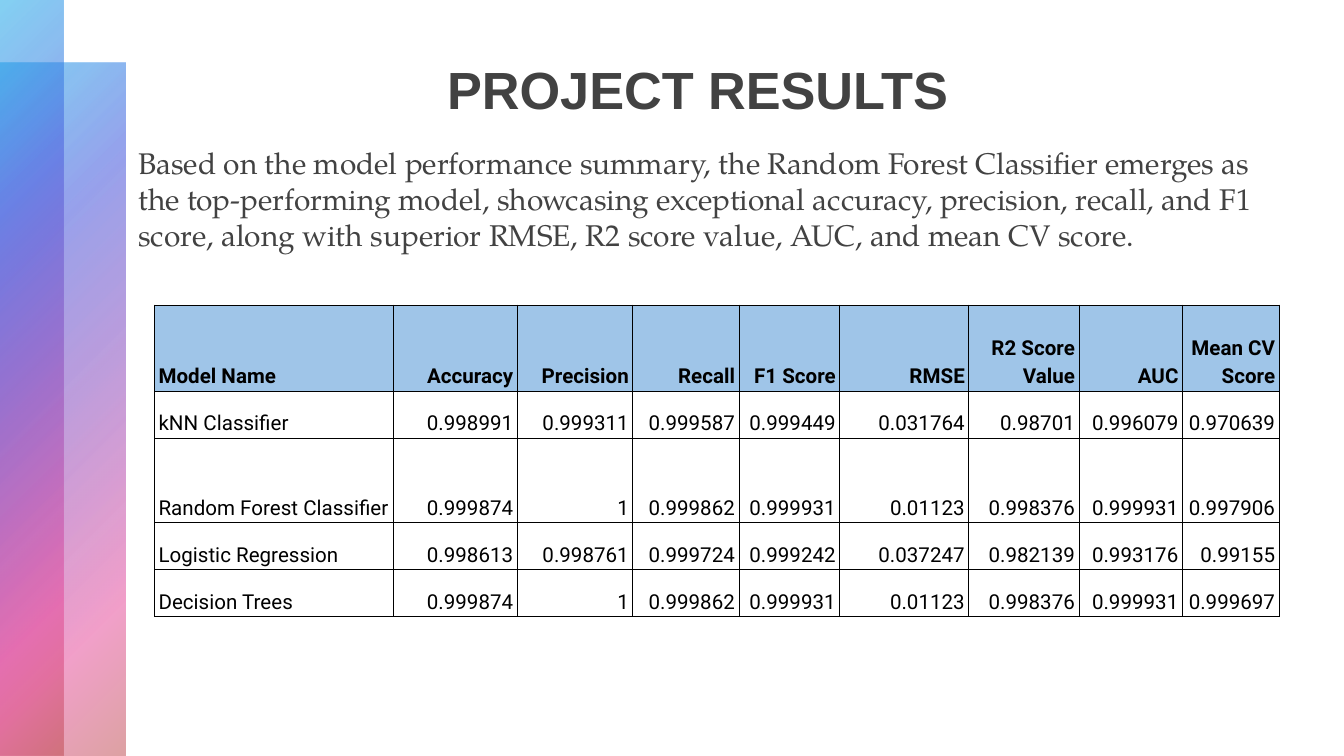
from pptx import Presentation
from pptx import util as u
from pptx.dml.color import RGBColor
from pptx.enum import shapes, text
from pptx.oxml import parse_xml
from pptx.oxml.ns import nsdecls, qn

# Content
TITLE = "PROJECT RESULTS"
SUMMARY = (
    "Based on the model performance summary, the Random Forest Classifier emerges as "
    "the top-performing model, showcasing exceptional accuracy, precision, recall, and "
    "F1 score, along with superior RMSE, R2 score value, AUC, and mean CV score."
)
RESULTS = [
    ("Model Name", "Accuracy", "Precision", "Recall", "F1 Score", "RMSE",
     "R2 Score Value", "AUC", "Mean CV Score"),
    ("kNN Classifier", "0.998991", "0.999311", "0.999587", "0.999449", "0.031764",
     "0.98701", "0.996079", "0.970639"),
    ("Random Forest Classifier", "0.999874", "1", "0.999862", "0.999931", "0.01123",
     "0.998376", "0.999931", "0.997906"),
    ("Logistic Regression", "0.998613", "0.998761", "0.999724", "0.999242", "0.037247",
     "0.982139", "0.993176", "0.99155"),
    ("Decision Trees", "0.999874", "1", "0.999862", "0.999931", "0.01123",
     "0.998376", "0.999931", "0.999697"),
]

# Layout in inches (16:9 slide) and format values
WIDTH = 10
HEIGHT = WIDTH * 9 / 16
BAND = HEIGHT / 12
COLUMNS = [1.78, 0.92, 0.86, 0.79, 0.75, 0.96, 0.82, 0.77, 0.72]
ROWS = [0.64, 0.35, 0.63, 0.35, 0.35]
COLORS = {"text": "424242", "header": "9FC5E8", "cell": "FFFFFF", "ink": "000000"}
GRADIENT = [(0, "0BA5E8", 50), (25, "5066E1", 60), (50, "894EC0", 55),
            (81, "E54196", 50), (99, "BE4449", 50), (100, "BE4449", 50)]
FONTS = {
    "title": {"name": "Arial", "size": u.Pt(28), "bold": True},
    "summary": {"name": "TeX Gyre Pagella", "size": u.Pt(16)},
    "header": {"name": "Roboto", "size": u.Pt(11), "bold": True},
    "cell": {"name": "Roboto", "size": u.Pt(11), "bold": False},
}


def set_values(target, values):
    for name, value in values.items():
        setattr(target, name, value)


def margins(horizontal, vertical):
    return {"margin_left": u.Inches(horizontal), "margin_right": u.Inches(horizontal),
            "margin_top": u.Inches(vertical), "margin_bottom": u.Inches(vertical)}


def style_font(paragraph, style, color):
    set_values(paragraph.font, FONTS[style])
    paragraph.font.color.rgb = RGBColor.from_string(COLORS[color])


def add_band(slide, left, top, width, height):
    band = slide.shapes.add_shape(shapes.MSO_SHAPE.RECTANGLE,
                                  *map(u.Inches, (left, top, width, height)))
    band.shadow.inherit = False
    band.line.fill.background()
    stops = "".join(
        f'<a:gs pos="{position * 1000}"><a:srgbClr val="{color}">'
        f'<a:alpha val="{opacity * 1000}"/></a:srgbClr></a:gs>'
        for position, color, opacity in GRADIENT)
    band.element.spPr.find(qn("a:prstGeom")).addnext(parse_xml(
        f'<a:gradFill {nsdecls("a")} rotWithShape="1"><a:gsLst>{stops}</a:gsLst>'
        '<a:path path="circle"><a:fillToRect r="100000" b="100000"/></a:path></a:gradFill>'))


def add_borders(cell):
    properties = cell._tc.get_or_add_tcPr()
    for index, side in enumerate(("lnL", "lnR", "lnT", "lnB")):
        line = parse_xml(
            f'<a:{side} {nsdecls("a")} w="{u.Pt(0.6)}"><a:solidFill>'
            f'<a:srgbClr val="{COLORS["ink"]}"/></a:solidFill></a:{side}>')
        properties.insert(index, line)


presentation = Presentation()
presentation.slide_width, presentation.slide_height = u.Inches(WIDTH), u.Inches(HEIGHT)
slide = presentation.slides.add_slide(presentation.slide_layouts[5])

# Overlapping side bands
add_band(slide, 0, BAND, 2 * BAND, HEIGHT - BAND)
add_band(slide, 0, 0, BAND, HEIGHT)

# Title
title = slide.shapes.title
set_values(title, {"left": u.Inches(1.3), "top": u.Inches(0.37),
                   "width": u.Inches(7.78), "height": u.Inches(0.66)})
set_values(title.text_frame, {"text": TITLE, "word_wrap": True,
                              "vertical_anchor": text.MSO_ANCHOR.MIDDLE,
                              **margins(0.07, 0.04)})
paragraph = title.text_frame.paragraphs[0]
set_values(paragraph, {"alignment": text.PP_ALIGN.CENTER, "line_spacing": 0.8})
style_font(paragraph, "title", "text")

# Results table
table = slide.shapes.add_table(len(ROWS), len(COLUMNS), u.Inches(1.15), u.Inches(2.27),
                               u.Inches(sum(COLUMNS)), u.Inches(sum(ROWS))).table
for column, width in zip(table.columns, COLUMNS):
    column.width = u.Inches(width)
for row, height, values in zip(table.rows, ROWS, RESULTS):
    row.height = u.Inches(height)
    style = "header" if values is RESULTS[0] else "cell"
    for index, (cell, value) in enumerate(zip(row.cells, values)):
        set_values(cell, {"text": value, "vertical_anchor": text.MSO_ANCHOR.BOTTOM,
                          **margins(0.03, 0.02)})
        cell.fill.solid()
        cell.fill.fore_color.rgb = RGBColor.from_string(COLORS[style])
        add_borders(cell)
        paragraph = cell.text_frame.paragraphs[0]
        alignment = text.PP_ALIGN.RIGHT if index else text.PP_ALIGN.LEFT
        set_values(paragraph, {"alignment": alignment, "line_spacing": 1.15})
        style_font(paragraph, style, "ink")

# Summary paragraph
summary = slide.shapes.add_textbox(*map(u.Inches, (0.93, 0.98, 8.81, 1.05)))
set_values(summary.text_frame, {"text": SUMMARY, "word_wrap": True, **margins(0.1, 0.1)})
style_font(summary.text_frame.paragraphs[0], "summary", "text")

presentation.save("out.pptx")
